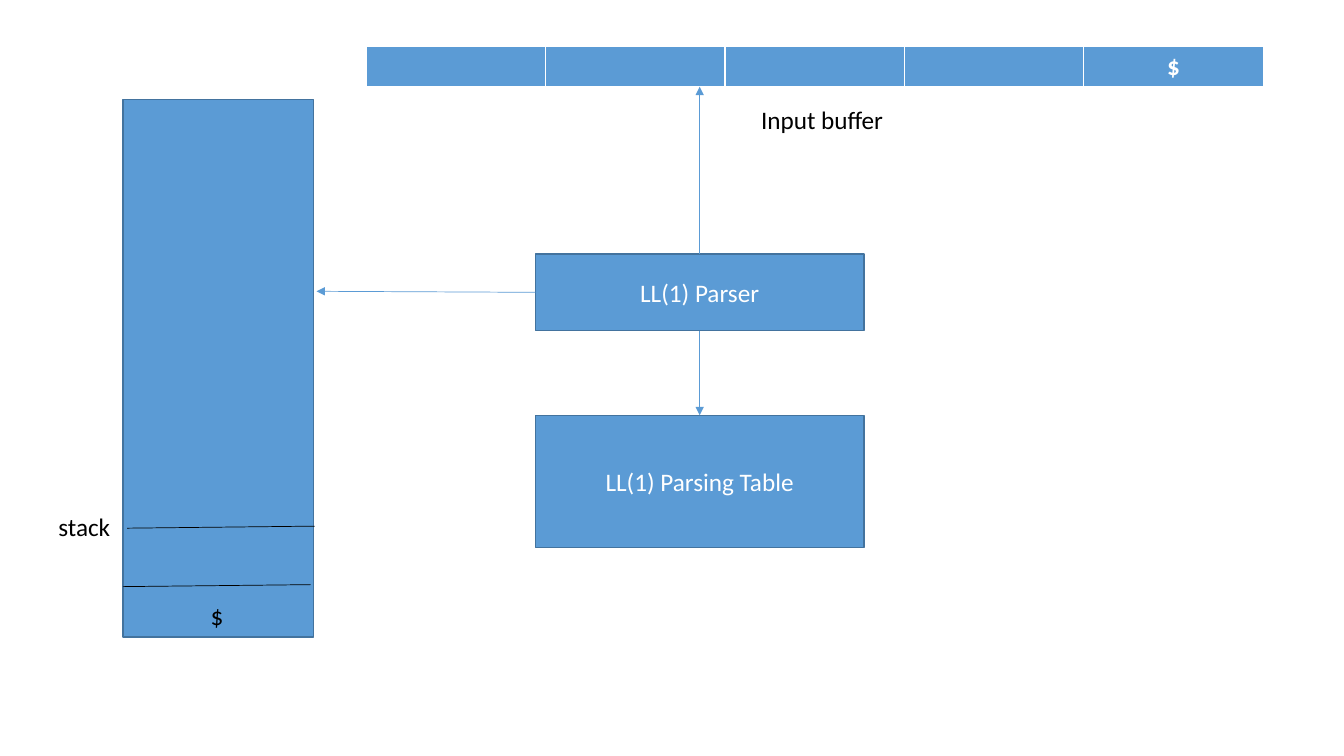
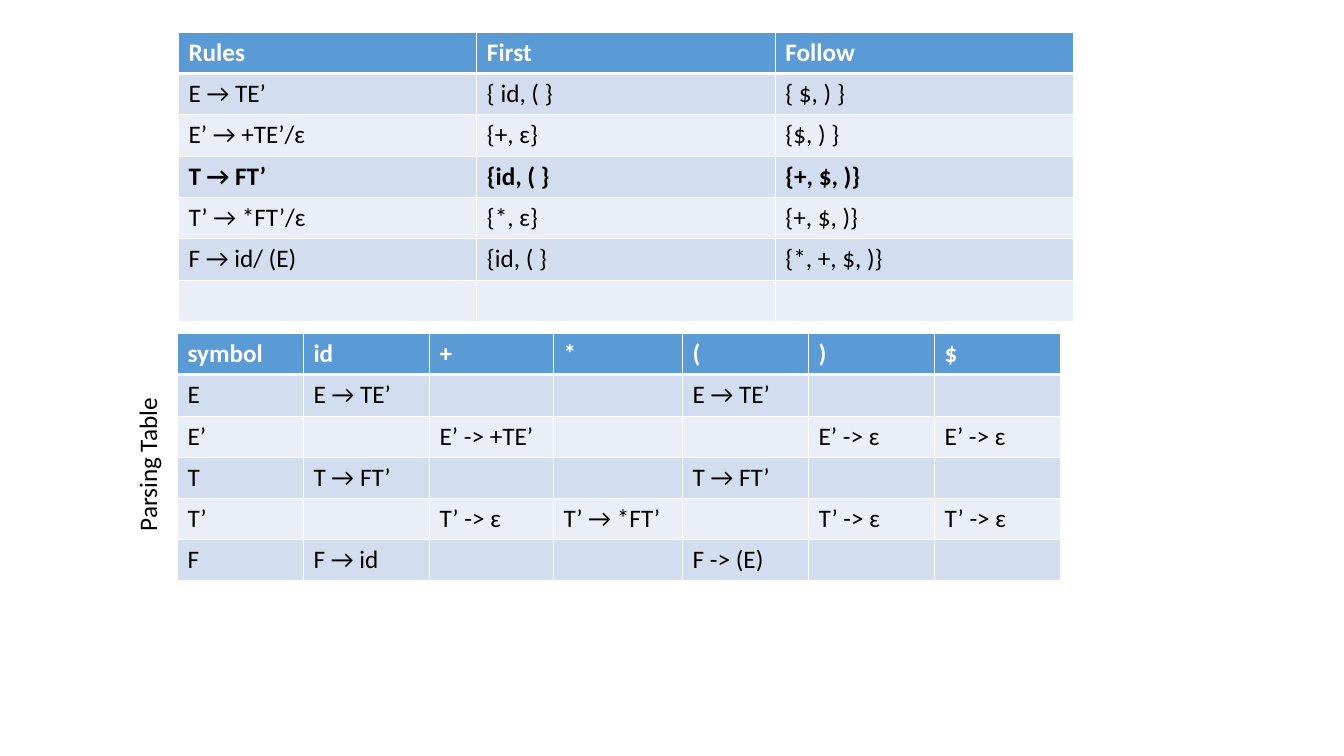
from lxml.etree import SubElement
from pptx import Presentation
from pptx.dml.color import RGBColor
from pptx.enum.shapes import MSO_CONNECTOR, MSO_SHAPE
from pptx.enum.text import MSO_ANCHOR, MSO_AUTO_SIZE, PP_ALIGN
from pptx.oxml import parse_xml
from pptx.oxml.ns import nsdecls, qn
from pptx.util import Emu, Pt

PX = 9144  # EMU per px, 100 px to the inch
FONT, TEXT_SIZE = "Calibri", 18
COLORS = {
    "blue": "5B9BD5",
    "outline": "43739E",
    "band_dark": "D2DEEF",
    "band_light": "EAEFF7",
    "white": "FFFFFF",
    "black": "000000",
}

# Parser model: left, top, width, height
STACK = (122, 99, 189, 533)
PARSER = (531, 252, 326, 76)
PARSING_TABLE = (531, 412, 326, 131)
STACK_LINES = [((122, 582), (308, 580)), ((126, 524), (312, 522))]
STACK_ARROW_END = (314, 289)
BUFFER_ARROW_END = (694, 86)
MODEL_LABELS = [
    ("stack", (48, 502, 72, 40)),
    ("$", (199, 591, 33, 40)),
    ("Input buffer", (745, 99, 143, 40)),
]
INPUT_BUFFER = [["", "", "", "", "$"]]

# Grammar
RULES = [
    ["Rules", "First", "Follow"],
    ["E → TE’", "{ id, ( }", "{ $, ) }"],
    ["E’ → +TE’/ɛ", "{+, ɛ}", "{$, ) }"],
    ["T → FT’", "{id, ( }", "{+, $, )}"],
    ["T’ → *FT’/ɛ", "{*, ɛ}", "{+, $, )}"],
    ["F → id/ (E)", "{id, ( }", "{*, +, $, )}"],
    ["", "", ""],
]
BOLD_RULE = 3
PARSE_ENTRIES = [
    ["symbol", "id", "+", "*", "(", ")", "$"],
    ["E", "E → TE’", "", "", "E → TE’", "", ""],
    ["E’", "", "E’ -> +TE’", "", "", "E’ -> ɛ", "E’ -> ɛ"],
    ["T", "T → FT’", "", "", "T → FT’", "", ""],
    ["T’", "", "T’ -> ɛ", "T’ → *FT’", "", "T’ -> ɛ", "T’ -> ɛ"],
    ["F", "F → id", "", "", "F -> (E)", "", ""],
]
PARSE_WIDTHS = [125, 125, 123, 128, 125, 125, 125]
PARSE_HEIGHTS = [40, 42, 40, 40, 40, 40]


def px(*lengths):
    return [Emu(length * PX) for length in lengths]


def color(name):
    return RGBColor.from_string(COLORS[name])


def write(frame, text, color_name, bold=False, align=PP_ALIGN.LEFT):
    paragraph = frame.paragraphs[0]
    paragraph.alignment = align
    span = paragraph.add_run()
    span.text = text
    span.font.name = FONT
    span.font.size = Pt(TEXT_SIZE)
    span.font.bold = bold
    span.font.color.rgb = color(color_name)


def add_label(page, text, area, rotation=0):
    label = page.shapes.add_textbox(*px(*area))
    label.rotation = rotation
    label.text_frame.word_wrap = False
    label.text_frame.auto_size = MSO_AUTO_SIZE.SHAPE_TO_FIT_TEXT
    write(label.text_frame, text, "black")


def add_box(page, area, text=""):
    box = page.shapes.add_shape(MSO_SHAPE.RECTANGLE, *px(*area))
    box.shadow.inherit = False
    box.fill.solid()
    box.fill.fore_color.rgb = color("blue")
    box.line.color.rgb = color("outline")
    box.line.width = Pt(1)
    if text:
        box.text_frame.vertical_anchor = MSO_ANCHOR.MIDDLE
        write(box.text_frame, text, "white", align=PP_ALIGN.CENTER)
    return box


def add_line(page, start, end, color_name):
    line = page.shapes.add_connector(MSO_CONNECTOR.STRAIGHT, *px(*start, *end))
    line.line.color.rgb = color(color_name)
    line.line.width = Pt(0.5)
    SubElement(line._element.spPr, qn("a:effectLst"))
    return line


def add_arrow(page, box, side, end):
    """Draw an arrow from the middle of a box's side to a point."""
    arrow = add_line(page, end, end, "blue")
    arrow.begin_connect(box, side)
    SubElement(arrow.line._get_or_add_ln(), qn("a:tailEnd"), type="triangle")
    return arrow


def set_borders(cell, top, bottom):
    """Give a cell white borders; top and bottom widths are in points."""
    widths = {"L": 1, "R": 1, "T": top, "B": bottom}
    properties = cell._tc.get_or_add_tcPr()
    for position, (side, width) in enumerate(widths.items()):
        border = parse_xml(
            f'<a:ln{side} {nsdecls("a")} w="{Pt(width)}"><a:solidFill>'
            f'<a:srgbClr val="{COLORS["white"]}"/></a:solidFill></a:ln{side}>')
        properties.insert(position, border)


def add_grid(page, left, top, rows, widths, heights,
             bold_rows=(), align=PP_ALIGN.LEFT):
    """Add a table with a blue header row and banded rows below it."""
    area = px(left, top, sum(widths), sum(heights))
    table = page.shapes.add_table(len(rows), len(widths), *area).table
    table.first_row = table.horz_banding = False
    for column, width in zip(table.columns, px(*widths)):
        column.width = width
    for index, (row, height, texts) in enumerate(
            zip(table.rows, px(*heights), rows)):
        row.height = height
        header = index == 0
        band = "band_dark" if index % 2 else "band_light"
        for cell, text in zip(row.cells, texts):
            cell.fill.solid()
            cell.fill.fore_color.rgb = color("blue" if header else band)
            set_borders(cell, 3 if index == 1 else 1, 3 if header else 1)
            if text:
                write(cell.text_frame, text, "white" if header else "black",
                      header or index in bold_rows, align)


def build_parser_model(page):
    add_box(page, STACK)
    for start, end in STACK_LINES:
        add_line(page, start, end, "black")
    parser = add_box(page, PARSER, "LL(1) Parser")
    parsing_table = add_box(page, PARSING_TABLE, "LL(1) Parsing Table")
    add_grid(page, 363, 46, INPUT_BUFFER, [178] * 5, [41],
             align=PP_ALIGN.CENTER)
    add_arrow(page, parser, 1, STACK_ARROW_END)
    add_arrow(page, parser, 0, BUFFER_ARROW_END)
    add_arrow(page, parser, 2, PARSING_TABLE[:2]).end_connect(parsing_table, 0)
    for text, area in MODEL_LABELS:
        add_label(page, text, area)


def build_grammar(page):
    add_grid(page, 177, 32, RULES, [296] * 3, [41] * len(RULES), [BOLD_RULE])
    add_grid(page, 176, 331, PARSE_ENTRIES, PARSE_WIDTHS, PARSE_HEIGHTS)
    add_label(page, "Parsing Table", (69, 440, 154, 40), rotation=270)


def main():
    deck = Presentation()
    deck.slide_width, deck.slide_height = px(1333, 750)
    for build in (build_parser_model, build_grammar):
        build(deck.slides.add_slide(deck.slide_layouts[6]))
    deck.save("out.pptx")


if __name__ == "__main__":
    main()
